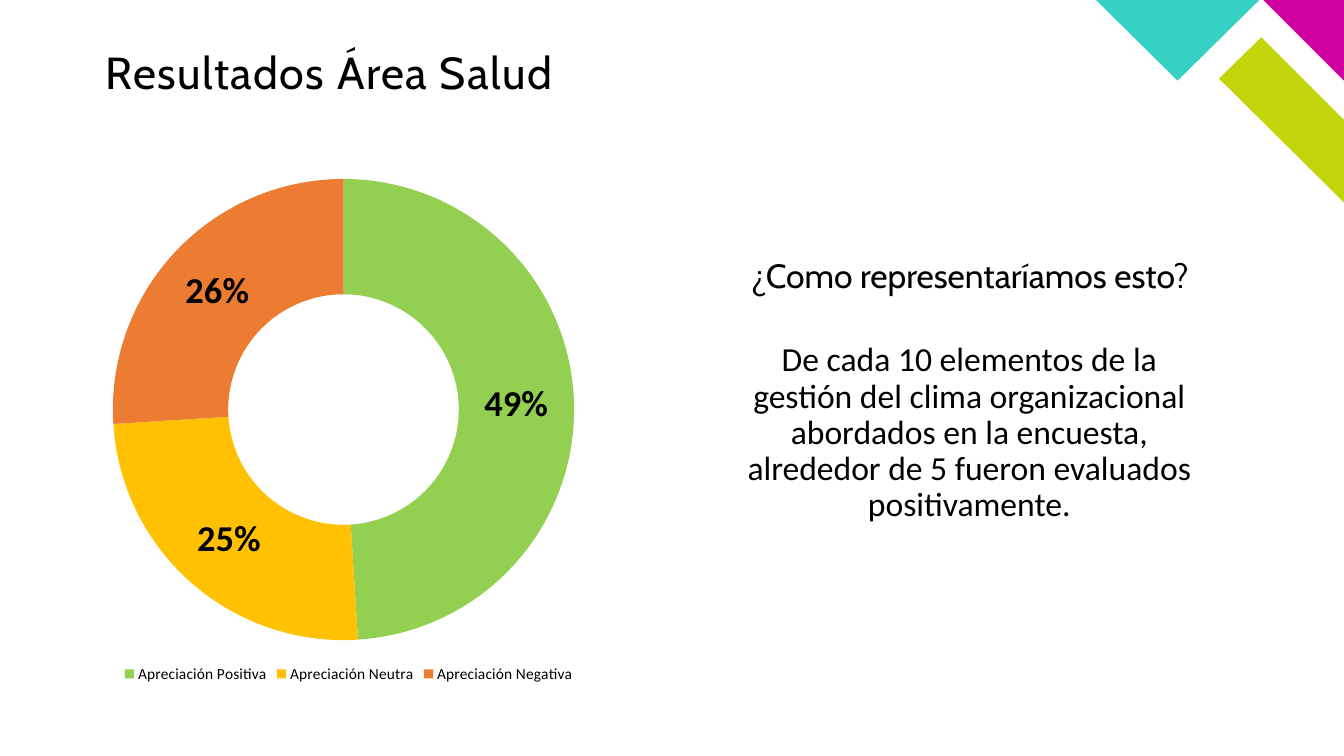
"""Build a slide with a doughnut chart of health area results and its reading."""
from dataclasses import dataclass

import lxml.etree
import pptx
import pptx.chart.data
import pptx.dml.color
import pptx.enum.chart
import pptx.enum.text
import pptx.oxml.ns
import pptx.util

WIDTH = pptx.util.Inches(13.33)
HEIGHT = pptx.util.Inches(7.5)
COLORS = {
    "text": "000000",
    "lime": "C4D40A",
    "magenta": "CE009F",
    "teal": "35D2C4",
    "positive": "93D051",
    "neutral": "FFC101",
    "negative": "EC7C31",
}
ALIGN = pptx.enum.text.PP_ALIGN
ANCHOR = pptx.enum.text.MSO_ANCHOR


@dataclass(frozen=True)
class Area:
    """Box in percent of the slide's width and height."""
    left: float
    top: float
    width: float
    height: float

    def emu(self) -> tuple[int, int, int, int]:
        return across(self.left), down(self.top), across(self.width), down(self.height)


@dataclass(frozen=True)
class Ornament:
    """Polygon with corners in percent of the slide."""
    color: str
    corners: tuple[tuple[float, float], ...]


@dataclass(frozen=True)
class Label:
    """Text with its box and style."""
    text: str
    area: Area
    font: str
    size: int
    align: ALIGN = ALIGN.CENTER
    anchor: ANCHOR = ANCHOR.MIDDLE
    inset: tuple[float, float] = (0.1, 0.05)
    spacing: int = 0


@dataclass(frozen=True)
class Slice:
    """Doughnut slice."""
    name: str
    value: float
    color: str


ORNAMENTS = (
    Ornament("lime", ((100, 26.8), (100, 15.87), (93.85, 4.93), (90.7, 10.4))),
    Ornament("magenta", ((100, 10.67), (100, 0), (94, 0))),
    Ornament("teal", ((81.55, 0), (87.62, 10.67), (93.7, 0))),
)
LABELS = (
    Label("Resultados Área Salud", Area(7.88, 6.67, 75, 8.93), "Cabin", 32,
          ALIGN.LEFT, ANCHOR.TOP, (0, 0), 100),
    Label("De cada 10 elementos de la gestión del clima organizacional abordados "
          "en la encuesta, alrededor de 5 fueron evaluados positivamente.",
          Area(53.86, 40.93, 36.53, 32.8), "Calibri", 24),
    Label("¿Como representaríamos esto?", Area(53.41, 30.93, 37.5, 11.6), "Cabin", 24),
)
SLICES = (
    Slice("Apreciación Positiva", 0.49, "positive"),
    Slice("Apreciación Neutra", 0.25, "neutral"),
    Slice("Apreciación Negativa", 0.26, "negative"),
)
CHART_AREA = Area(6.45, 21.6, 39, 69.33)
PLOT_SHARES = {"x": 0.05, "y": 0.03, "w": 0.88, "h": 0.88}


def across(percent: float) -> int:
    return round(WIDTH * percent / 100)


def down(percent: float) -> int:
    return round(HEIGHT * percent / 100)


def rgb(name: str) -> pptx.dml.color.RGBColor:
    return pptx.dml.color.RGBColor.from_string(COLORS[name])


def style_font(font, size: float, name: str) -> None:
    font.size = pptx.util.Pt(size)
    font.name = name
    font.color.rgb = rgb("text")


def draw_ornament(s, ornament: Ornament) -> None:
    start, *rest = [(across(x), down(y)) for x, y in ornament.corners]
    builder = s.shapes.build_freeform(*start)
    builder.add_line_segments(rest, close=True)
    sp = builder.convert_to_shape()
    sp.shadow.inherit = False
    sp.fill.solid()
    sp.fill.fore_color.rgb = rgb(ornament.color)
    sp.line.fill.background()


def draw_label(s, label: Label) -> None:
    tf = s.shapes.add_textbox(*label.area.emu()).text_frame
    tf.word_wrap = True
    tf.vertical_anchor = label.anchor
    side, edge = map(pptx.util.Inches, label.inset)
    tf.margin_left = tf.margin_right = side
    tf.margin_top = tf.margin_bottom = edge
    p = tf.paragraphs[0]
    p.alignment = label.align
    p.line_spacing = 0.9
    r = p.add_run()
    r.text = label.text
    style_font(r.font, label.size, label.font)
    if label.spacing:
        r.font._element.set("spc", str(label.spacing))


def place_plot(chart) -> None:
    qn = pptx.oxml.ns.qn
    plot_area = chart._chartSpace.find(".//" + qn("c:plotArea"))
    for old in plot_area.findall(qn("c:layout")):
        plot_area.remove(old)
    layout = lxml.etree.Element(qn("c:layout"))
    manual = lxml.etree.SubElement(layout, qn("c:manualLayout"))
    settings = {"layoutTarget": "inner", "xMode": "edge", "yMode": "edge", **PLOT_SHARES}
    for tag, value in settings.items():
        lxml.etree.SubElement(manual, qn(f"c:{tag}")).set("val", str(value))
    plot_area.insert(0, layout)


def draw_doughnut(s, slices: tuple[Slice, ...], area: Area) -> None:
    data = pptx.chart.data.CategoryChartData(number_format="0%")
    data.categories = [part.name for part in slices]
    data.add_series("Series 1", [part.value for part in slices])
    kind = pptx.enum.chart.XL_CHART_TYPE.DOUGHNUT
    chart = s.shapes.add_chart(kind, *area.emu(), data).chart
    chart.has_title = False
    style_font(chart.font, 18, "Calibri")
    chart.has_legend = True
    chart.legend.position = pptx.enum.chart.XL_LEGEND_POSITION.BOTTOM
    chart.legend.include_in_layout = False
    style_font(chart.legend.font, 11, "Calibri")
    chart.plots[0].vary_by_categories = True
    series = chart.plots[0].series[0]
    for index, part in enumerate(slices):
        point = series.points[index].format
        point.fill.solid()
        point.fill.fore_color.rgb = rgb(part.color)
        point.line.fill.background()
    labels = series.data_labels
    labels.show_value = True
    labels.show_percentage = False
    labels.number_format = "0%"
    labels.number_format_is_linked = False
    style_font(labels.font, 26, "Calibri")
    labels.font.bold = True
    place_plot(chart)


def main() -> None:
    prs = pptx.Presentation()
    prs.slide_width, prs.slide_height = WIDTH, HEIGHT
    s = prs.slides.add_slide(prs.slide_layouts[6])
    for ornament in ORNAMENTS:
        draw_ornament(s, ornament)
    for label in LABELS:
        draw_label(s, label)
    draw_doughnut(s, SLICES, CHART_AREA)
    prs.save("out.pptx")


if __name__ == "__main__":
    main()
